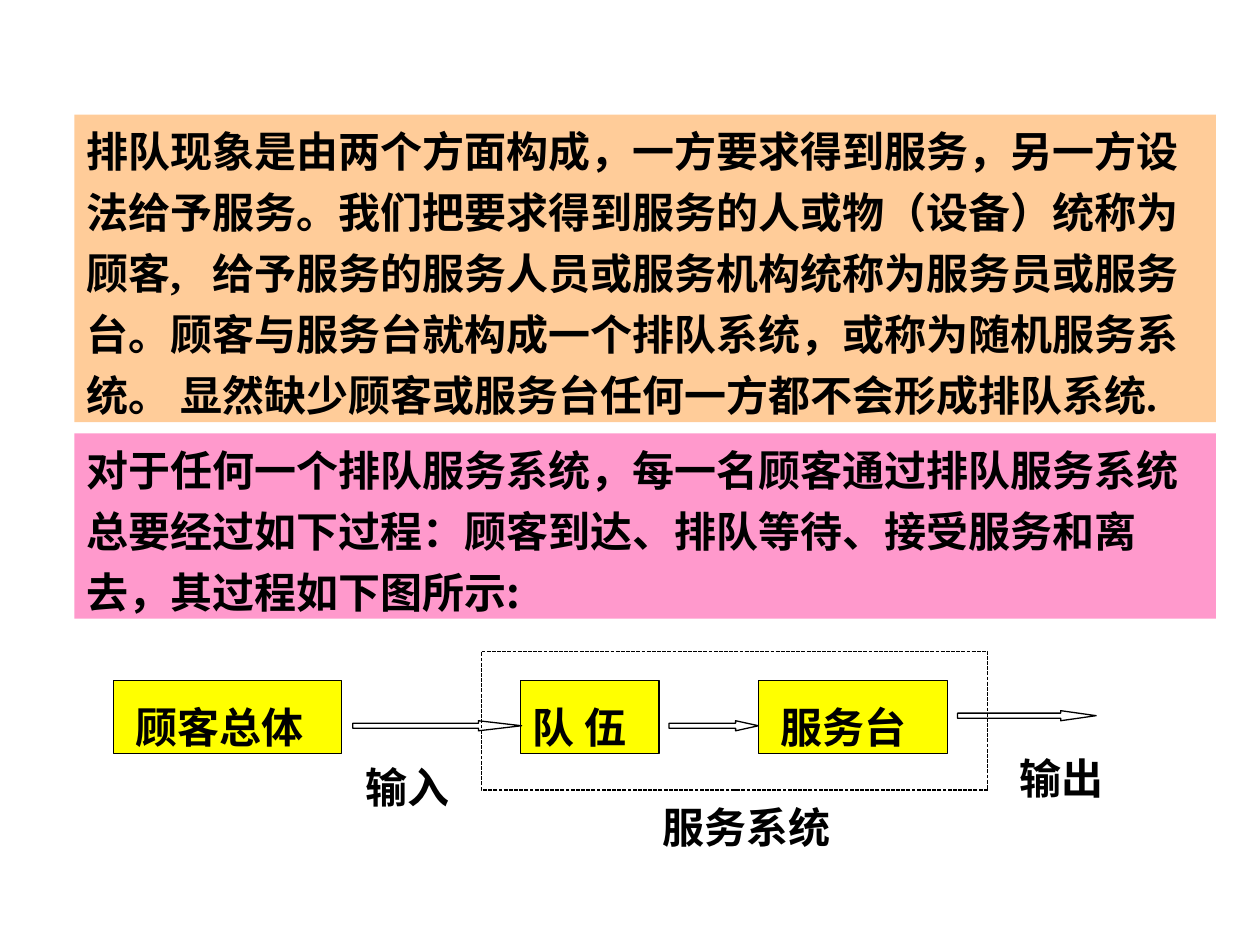
"""Build a slide that explains the queueing system and its process."""
from lxml.etree import SubElement
from pptx import Presentation
from pptx.dml.color import RGBColor
from pptx.enum.dml import MSO_LINE
from pptx.enum.shapes import MSO_SHAPE as Preset
from pptx.enum.text import MSO_ANCHOR as Anchor, MSO_AUTO_SIZE as AutoSize, PP_ALIGN as Align
from pptx.oxml.ns import qn
from pptx.util import Inches, Pt

COLORS = {"ink": "000000", "peach": "FFCC99", "pink": "FF99CC", "yellow": "FFFF00", "white": "FFFFFF"}
SERIF = "Times New Roman"
SANS = "Noto Sans CJK SC"


class QueueSlide:
    """Holds the text style and the slide being drawn."""

    line_height = 28.8
    frame_format = {
        "word_wrap": True, "auto_size": AutoSize.NONE, "vertical_anchor": Anchor.TOP,
        "margin_left": Inches(0.1), "margin_right": Inches(0.02),
        "margin_top": Inches(0.09), "margin_bottom": Inches(0.01),
    }
    font_format = {"size": Pt(24), "bold": True}

    def __init__(self, presentation):
        self.slide = presentation.slides.add_slide(presentation.slide_layouts[6])

    def color(self, name):
        return RGBColor.from_string(COLORS[name])

    def apply(self, target, values):
        for name, value in values.items():
            setattr(target, name, value)

    def fill_text(self, shape, lines, font_name, before=0, spacing=1):
        frame = shape.text_frame
        self.apply(frame, self.frame_format)
        for index, line in enumerate(lines):
            paragraph = frame.add_paragraph() if index else frame.paragraphs[0]
            self.apply(paragraph, {
                "alignment": Align.LEFT, "line_spacing": Pt(self.line_height * spacing),
                "space_before": Pt(before if index else 0),
            })
            run = paragraph.add_run()
            run.text = line
            self.apply(run.font, {**self.font_format, "name": font_name})
            run.font.color.rgb = self.color("ink")
            SubElement(run.font._element, qn("a:ea")).set("typeface", SANS)

    def shape(self, preset, position, fill=None, outlined=True):
        shape = self.slide.shapes.add_shape(preset, *map(Inches, position))
        shape.shadow.inherit = False
        if fill:
            shape.fill.solid()
            shape.fill.fore_color.rgb = self.color(fill)
        else:
            shape.fill.background()
        if outlined:
            shape.line.color.rgb = self.color("ink")
            shape.line.width = Pt(0.75)
        else:
            shape.line.fill.background()
        return shape

    def panel(self, top, height, fill, lines, font_name):
        shape = self.shape(Preset.RECTANGLE, (0.59, top, 9.06, height), fill, outlined=False)
        self.fill_text(shape, lines, font_name, before=6)

    def box(self, left, width, text, font_name):
        shape = self.shape(Preset.RECTANGLE, (left, 5.4, width, 0.58), "yellow")
        self.fill_text(shape, [text], font_name, spacing=1.2)

    def arrow(self, left, top, width, head):
        shape = self.shape(Preset.RIGHT_ARROW, (left, top, width, 0.08), "white")
        shape.adjustments[0] = 0.5
        shape.adjustments[1] = head

    def label(self, left, top, width, text):
        shape = self.slide.shapes.add_textbox(*map(Inches, (left, top, width, 0.5)))
        self.fill_text(shape, [text], SERIF)

    def system_frame(self, position):
        shape = self.shape(Preset.RECTANGLE, position)
        shape.line.dash_style = MSO_LINE.SQUARE_DOT


def main():
    presentation = Presentation()
    presentation.slide_width, presentation.slide_height = Inches(10), Inches(7.5)
    slide = QueueSlide(presentation)

    slide.panel(0.91, 2.44, "peach", [
        "排队现象是由两个方面构成，一方要求得到服务，另一方设",
        "法给予服务。我们把要求得到服务的人或物（设备）统称为",
        "顾客,   给予服务的服务人员或服务机构统称为服务员或服务",
        "台。顾客与服务台就构成一个排队系统，或称为随机服务系",
        "统。 显然缺少顾客或服务台任何一方都不会形成排队系统.",
    ], SERIF)
    slide.panel(3.44, 1.47, "pink", [
        "对于任何一个排队服务系统，每一名顾客通过排队服务系统",
        "总要经过如下过程：顾客到达、排队等待、接受服务和离",
        "去，其过程如下图所示:",
    ], SANS)

    for box in [(0.9, 1.81, " 顾客总体", SERIF), (4.13, 1.1, "队 伍", SANS), (6.02, 1.5, " 服务台", SANS)]:
        slide.box(*box)
    for arrow in [(2.8, 5.72, 1.34, 4.29), (5.31, 5.72, 0.71, 2.27), (7.6, 5.64, 1.1, 3.52)]:
        slide.arrow(*arrow)
    slide.system_frame((3.82, 5.17, 4.02, 1.1))
    for label in [(2.8, 5.95, 1.02, "输入"), (7.99, 5.88, 1.02, "输出"), (5.16, 6.27, 1.81, "服务系统")]:
        slide.label(*label)

    presentation.save("out.pptx")


if __name__ == "__main__":
    main()
